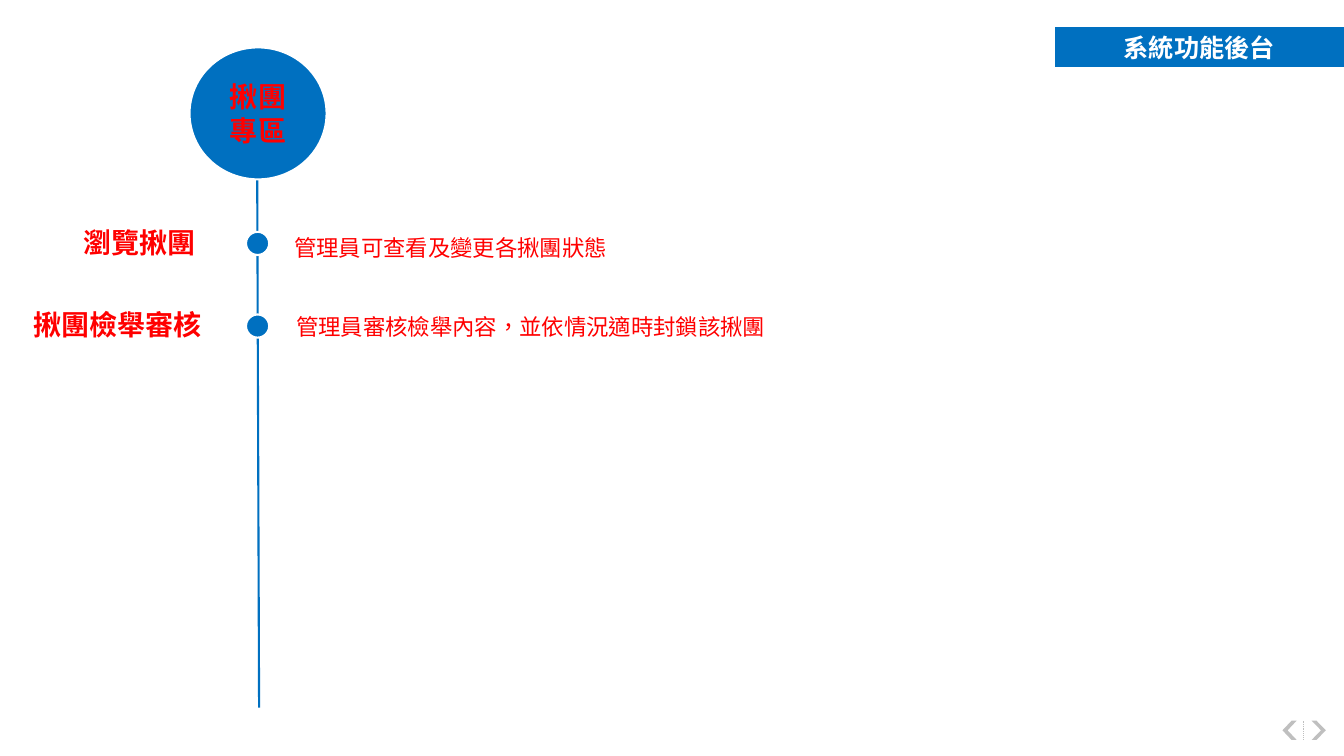
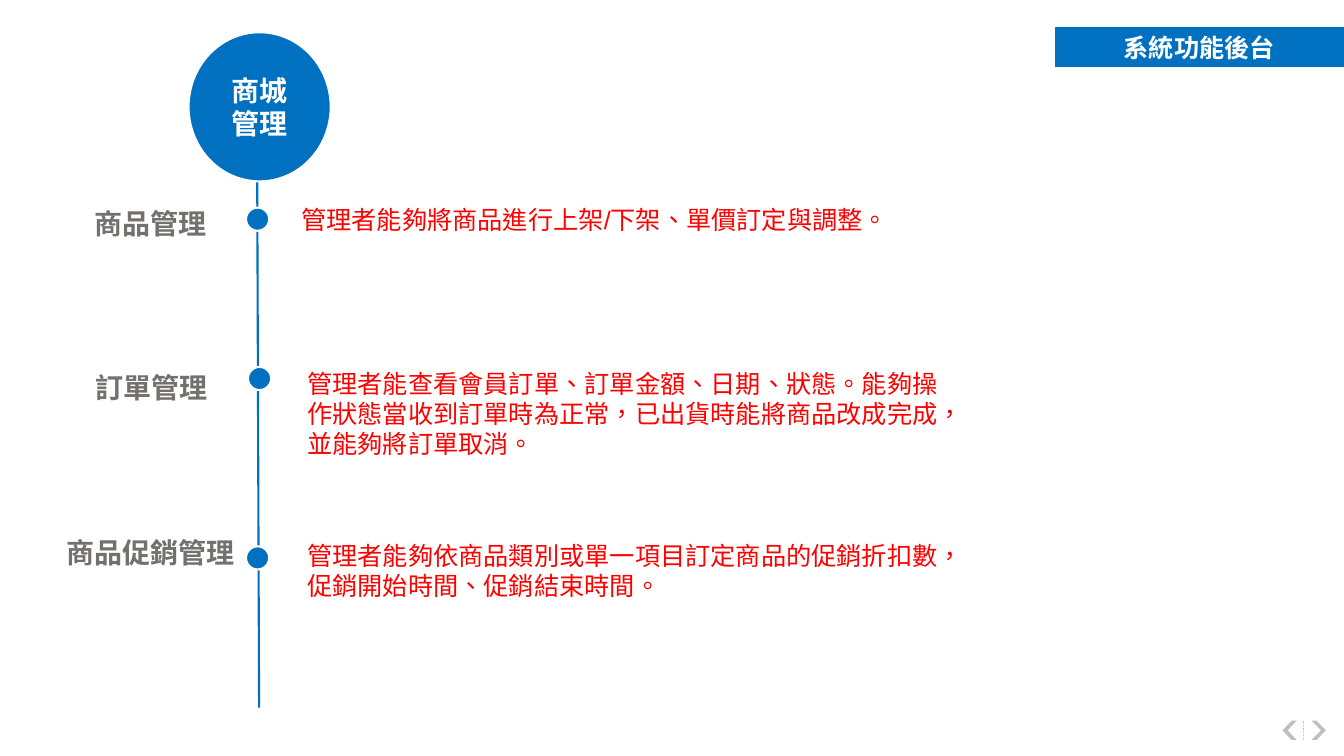
"""Build two timeline slides describing the back-office functions."""
from collections import namedtuple
from dataclasses import dataclass

from lxml.etree import SubElement
from pptx import Presentation
from pptx.dml.color import RGBColor
from pptx.enum.dml import MSO_LINE
from pptx.enum.lang import MSO_LANGUAGE_ID
from pptx.enum.shapes import MSO_CONNECTOR, MSO_SHAPE
from pptx.enum.text import MSO_ANCHOR, PP_ALIGN
from pptx.oxml.ns import qn
from pptx.util import Inches, Pt


@dataclass(frozen=True)
class Theme:
    blue: RGBColor = RGBColor(0x00, 0x70, 0xC0)
    red: RGBColor = RGBColor(0xFF, 0x00, 0x00)
    gray: RGBColor = RGBColor(0x75, 0x70, 0x70)
    light_gray: RGBColor = RGBColor(0xBF, 0xBF, 0xBF)
    white: RGBColor = RGBColor(0xFF, 0xFF, 0xFF)
    font: str = "Arial"
    heading_size: Pt = Pt(20)
    banner_size: Pt = Pt(18)
    line_width: Pt = Pt(1.5)
    thin_width: Pt = Pt(0.75)


THEME = Theme()
LEFT_TOP = (PP_ALIGN.LEFT, MSO_ANCHOR.TOP)
CENTERED = (PP_ALIGN.CENTER, MSO_ANCHOR.MIDDLE)
DOT_SIZE = 0.23

Topic = namedtuple("Topic", "title circle title_color label_color detail_size items")
Item = namedtuple("Item", "label label_box placement dot detail detail_box")

TOPICS = [
    Topic("揪團專區", (1.88, 0.47, 1.36, 1.31), THEME.red, THEME.red, Pt(16), [
        Item("瀏覽揪團", (0.73, 2.19, 1.56, 0.44), LEFT_TOP, (2.44, 2.3),
             "管理員可查看及變更各揪團狀態", (2.82, 2.27, 6.79, 0.37)),
        Item("揪團檢舉審核", (0.23, 3, 1.92, 0.42), LEFT_TOP, (2.44, 3.12),
             "管理員審核檢舉內容，並依情況適時封鎖該揪團", (2.84, 3.06, 6.67, 0.37)),
    ]),
    Topic("商城管理", (1.87, 0.32, 1.41, 1.48), THEME.white, THEME.gray, Pt(18), [
        Item("商品管理", (0.49, 1.95, 2.01, 0.54), CENTERED, (2.44, 2.06),
             "管理者能夠將商品進行上架/下架、單價訂定與調整。", (2.89, 1.98, 6.77, 1.62)),
        Item("訂單管理", (0.85, 3.63, 1.41, 0.44), LEFT_TOP, (2.46, 3.64),
             "管理者能查看會員訂單、訂單金額、日期、狀態。能夠操作狀態當收到訂單時為正常，"
             "已出貨時能將商品改成完成，並能夠將訂單取消。", (2.95, 3.6, 6.67, 1.72)),
        Item("商品促銷管理", (0.49, 5.21, 2.01, 0.54), CENTERED, (2.44, 5.42),
             "管理者能夠依商品類別或單一項目訂定商品的促銷折扣數，促銷開始時間、促銷結束時間。",
             (2.95, 5.31, 6.67, 1.92)),
    ]),
]


def add_figure(slide, kind, box, fill, outline=None):
    """Add a flat preset shape."""
    shape = slide.shapes.add_shape(kind, *map(Inches, box))
    shape.shadow.inherit = False
    shape.fill.solid()
    shape.fill.fore_color.rgb = fill
    if outline is None:
        shape.line.fill.background()
    else:
        shape.line.color.rgb = outline
        shape.line.width = THEME.line_width
    return shape


def write_text(shape, text, size, color, placement, bold=False):
    """Write one wrapped paragraph into a shape."""
    frame = shape.text_frame
    frame.word_wrap = True
    paragraph = frame.paragraphs[0]
    paragraph.alignment, frame.vertical_anchor = placement
    run = paragraph.add_run()
    run.text = text
    run.font.size = size
    run.font.bold = bold
    run.font.color.rgb = color
    run.font.name = THEME.font
    run.font.language_id = MSO_LANGUAGE_ID.TRADITIONAL_CHINESE
    SubElement(run.font._element, qn("a:ea")).set("typeface", THEME.font)


presentation = Presentation()
presentation.slide_width = Inches(13.33)
presentation.slide_height = Inches(7.5)

for topic in TOPICS:
    slide = presentation.slides.add_slide(presentation.slide_layouts[6])

    for left, rotation, depth in [(13.01, 0, 0.66), (12.72, 180, 0.64)]:
        chevron = add_figure(slide, MSO_SHAPE.CHEVRON, (left, 7.15, 0.14, 0.19), THEME.light_gray)
        chevron.rotation = rotation
        chevron.adjustments[0] = depth

    for ends, color, width, dash in [
        ((12.93, 7.34, 12.93, 7.15), THEME.light_gray, THEME.thin_width, MSO_LINE.ROUND_DOT),
        ((2.55, 1.47, 2.57, 7.02), THEME.blue, THEME.line_width, MSO_LINE.SOLID),
    ]:
        connector = slide.shapes.add_connector(MSO_CONNECTOR.STRAIGHT, *map(Inches, ends))
        connector.line.color.rgb = color
        connector.line.width = width
        connector.line.dash_style = dash
        SubElement(connector._element.spPr, qn("a:effectLst"))

    circle = add_figure(slide, MSO_SHAPE.OVAL, topic.circle, THEME.blue, THEME.white)
    write_text(circle, topic.title, THEME.heading_size, topic.title_color, CENTERED, bold=True)

    banner = add_figure(slide, MSO_SHAPE.RECTANGLE, (10.45, 0.26, 2.89, 0.42), THEME.blue, THEME.white)
    write_text(banner, "系統功能後台", THEME.banner_size, THEME.white, CENTERED, bold=True)

    for item in topic.items:
        add_figure(slide, MSO_SHAPE.OVAL, (*item.dot, DOT_SIZE, DOT_SIZE), THEME.blue, THEME.white)
        label = slide.shapes.add_textbox(*map(Inches, item.label_box))
        write_text(label, item.label, THEME.heading_size, topic.label_color, item.placement, bold=True)
        detail = slide.shapes.add_textbox(*map(Inches, item.detail_box))
        write_text(detail, item.detail, topic.detail_size, THEME.red, LEFT_TOP)

presentation.save("out.pptx")
